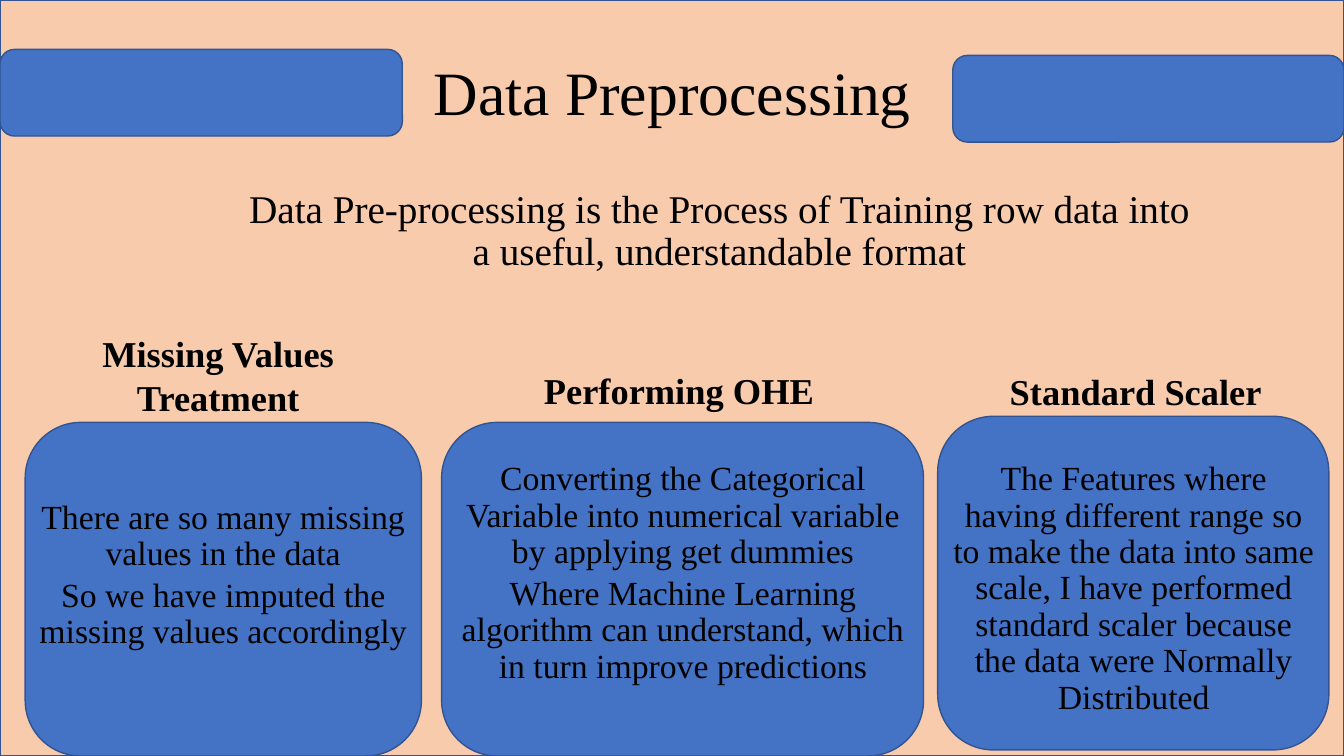
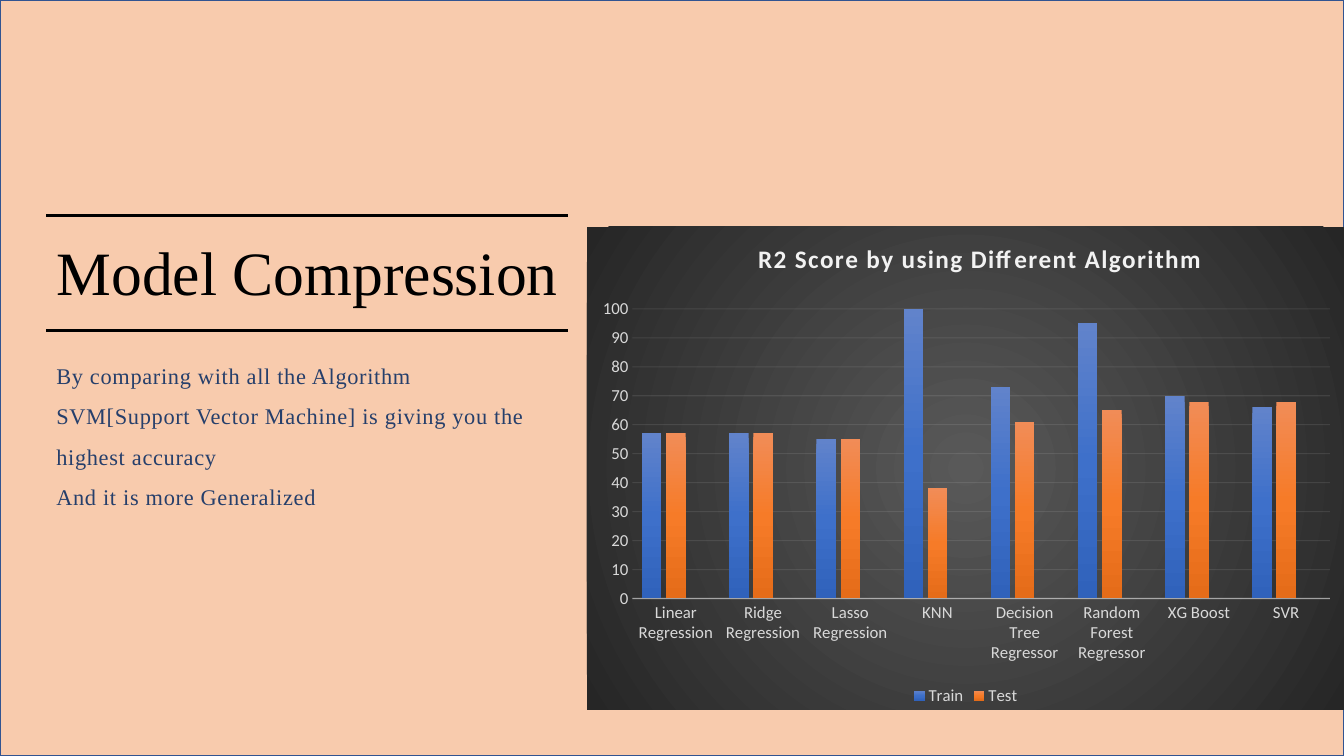
from lxml import etree
from pptx import Presentation
from pptx.chart.data import CategoryChartData
from pptx.dml.color import RGBColor
from pptx.enum.chart import XL_CHART_TYPE, XL_LEGEND_POSITION, XL_TICK_MARK
from pptx.enum.shapes import MSO_CONNECTOR, MSO_SHAPE
from pptx.enum.text import MSO_ANCHOR, MSO_AUTO_SIZE, PP_ALIGN
from pptx.oxml import parse_xml
from pptx.oxml.ns import nsdecls, qn
from pptx.util import Inches, Pt

CENTER, LEFT = PP_ALIGN.CENTER, PP_ALIGN.LEFT
TOP, MIDDLE = MSO_ANCHOR.TOP, MSO_ANCHOR.MIDDLE
RECT, ROUNDED = MSO_SHAPE.RECTANGLE, MSO_SHAPE.ROUNDED_RECTANGLE
STRAIGHT = MSO_CONNECTOR.STRAIGHT
COLUMNS = XL_CHART_TYPE.COLUMN_CLUSTERED
BOTTOM = XL_LEGEND_POSITION.BOTTOM
NO_TICK = XL_TICK_MARK.NONE

WIDTH, HEIGHT = 13.33, 7.5
THEME = {
    "backdrop": "F8CBAD", "block": "4472C4", "outline": "325491",
    "ink": "000000", "remark": "263F6B",
    "chart_title": "F2F2F2", "chart_text": "D9D9D9", "chart_line": "F2F2F2",
    "panel": [(0, "595959"), (100, "262626")],
    "font": "Times New Roman", "chart_font": "Calibri",
    "title": 44, "intro": 28, "heading": 26, "card": 24.1, "remark_size": 16,
    "chart_title_size": 18, "label": 12,
}

INTRO = "Data Pre-processing is the Process of Training row data into a useful, understandable format"
BANDS = [(0, 0.49, 3.99, 0.86), (9.45, 0.55, 3.88, 0.86)]
CARDS = [
    {"block": (0.25, 4.19, 3.93, 3.31),
     "heading": ["Missing Values", "Treatment"], "heading_at": (0.86, 3.28, 2.61, 1.75),
     "text": ["There are so many missing values in the data",
              "So we have imputed the missing values accordingly"],
     "text_at": (0.19, 4.91, 4.05, 1.75)},
    {"block": (4.38, 4.19, 4.78, 3.31),
     "heading": ["Performing OHE"], "heading_at": (4.89, 3.65, 3.69, 1.75),
     "text": ["Converting the Categorical Variable into numerical variable by applying get dummies",
              "Where Machine Learning algorithm can understand, which in turn improve predictions"],
     "text_at": (4.45, 4.53, 4.65, 2.9)},
    {"block": (9.3, 4.13, 3.88, 3.31),
     "heading": ["Standard Scaler"], "heading_at": (9.59, 3.66, 3.35, 1.75),
     "text": ["The Features where having different range so to make the data into same scale, "
              "I have performed standard scaler because the data were Normally Distributed"],
     "text_at": (9.35, 4.53, 3.79, 2.74)},
]

REMARKS = [
    "By comparing with all the Algorithm SVM[Support Vector Machine] is giving you the highest accuracy",
    "And it is more Generalized",
]
RULE_LEFT, RULE_RIGHT, RULE_TOPS = 0.46, 5.63, (2.14, 3.28)
CHART_AT = (5.82, 2.25, 7.52, 4.79)
CHART_TITLE = "R2 Score by using Different Algorithm"
ALGORITHMS = ["Linear Regression", "Ridge Regression", "Lasso Regression", "KNN",
              "Decision Tree Regressor", "Random Forest Regressor", "XG Boost", "SVR"]
SERIES = [
    ("Train", [57, 57, 55, 100, 73, 95, 70, 66], ["6183CB", "3E70CA", "3062BB"]),
    ("Test", [57, 57, 55, 38, 61, 65, 68, 68], ["F18C57", "F67B28", "E56C19"]),
    ("Series 3", [None] * 8, ["AFAFAF", "A5A5A5", "939393"]),
]
HIDDEN_ENTRY = 2


def rgb(name):
    return RGBColor.from_string(THEME.get(name, name))


def assign(obj, **values):
    for name, value in values.items():
        setattr(obj, name, value)


def box(at):
    return [Inches(v) for v in at]


def style(font, size, color, face="font", bold=False):
    assign(font, name=THEME[face], size=Pt(THEME[size]), bold=bold)
    font.color.rgb = rgb(color)


def write(tf, lines, size, color="ink", align=CENTER, anchor=TOP, spacing=0.9,
          before=0, bold=False, tracking=None):
    assign(tf, word_wrap=True, auto_size=MSO_AUTO_SIZE.NONE, vertical_anchor=anchor)
    for i, line in enumerate(lines):
        p = tf.add_paragraph() if i else tf.paragraphs[0]
        assign(p, alignment=align, line_spacing=spacing, space_before=Pt(before))
        r = p.add_run()
        r.text = line
        style(r.font, size, color, bold=bold)
        if tracking:
            r.font._element.set("spc", str(tracking))


def add_text(s, at, lines, size, **options):
    write(s.shapes.add_textbox(*box(at)).text_frame, lines, size, **options)


def add_block(s, kind, at, fill="block", weight=1):
    sp = s.shapes.add_shape(kind, *box(at))
    sp.shadow.inherit = False
    sp.fill.solid()
    sp.fill.fore_color.rgb = rgb(fill)
    sp.line.color.rgb = rgb("outline")
    sp.line.width = Pt(weight)
    return sp


def add_slide(prs, title, at, align, weight):
    s = prs.slides.add_slide(prs.slide_layouts[5])
    sp = s.shapes.title
    assign(sp, **dict(zip(("left", "top", "width", "height"), box(at))))
    write(sp.text_frame, [title], "title", align=align, anchor=MIDDLE)
    backdrop = add_block(s, RECT, (0, 0, WIDTH, HEIGHT), "backdrop", weight)
    sp._element.addprevious(backdrop._element)
    return s


def add_rule(s, top):
    c = s.shapes.add_connector(STRAIGHT, *box((RULE_LEFT, top, RULE_RIGHT, top)))
    c.line.color.rgb = rgb("ink")
    c.line.width = Pt(2.25)
    etree.SubElement(c._element.spPr, qn("a:effectLst"))


def gradient(stops, shade):
    marks = "".join(f'<a:gs pos="{pos * 1000}"><a:srgbClr val="{color}"/></a:gs>'
                    for pos, color in stops)
    return parse_xml(f'<a:gradFill {nsdecls("a")} rotWithShape="1">'
                     f'<a:gsLst>{marks}</a:gsLst>{shade}</a:gradFill>')


def layout(**shares):
    parts = "".join(f'<c:{k} val="{v}"/>' for k, v in shares.items())
    return parse_xml(f'<c:layout {nsdecls("c")}><c:manualLayout>{parts}'
                     '</c:manualLayout></c:layout>')


def faint_line(line, weight, opacity):
    line.color.rgb = rgb("chart_line")
    line.width = Pt(weight)
    color = line._get_or_add_ln().find(".//" + qn("a:srgbClr"))
    etree.SubElement(color, qn("a:alpha")).set("val", str(opacity * 1000))


def place(parent, after, new):
    old = parent.find(qn("c:layout"))
    if old is not None:
        parent.remove(old)
    if after is None:
        parent.insert(0, new)
    else:
        parent.find(qn(after)).addnext(new)


def add_scores(s):
    data = CategoryChartData()
    data.categories = ALGORITHMS
    for name, values, _ in SERIES:
        data.add_series(name, values)
    chart = s.shapes.add_chart(COLUMNS, *box(CHART_AT), data).chart
    style(chart.font, "label", "chart_text", "chart_font")

    panel = parse_xml(f'<c:spPr {nsdecls("c", "a")}/>')
    panel.append(gradient(THEME["panel"], '<a:path path="circle"><a:fillToRect l="50000" '
                          't="50000" r="50000" b="50000"/></a:path>'))
    panel.append(parse_xml(f'<a:ln {nsdecls("a")}><a:noFill/></a:ln>'))
    chart.element.find(qn("c:chart")).addnext(panel)

    chart.has_title = True
    r = chart.chart_title.text_frame.paragraphs[0].add_run()
    r.text = CHART_TITLE
    style(r.font, "chart_title_size", "chart_title", "chart_font", True)
    r.font._element.set("spc", "100")
    place(chart.chart_title._element, "c:tx", layout(xMode="edge", yMode="edge", x=0.22, y=0.02))

    plot = chart.plots[0]
    assign(plot, gap_width=100, overlap=-24, vary_by_categories=False)
    for series, (_, _, colors) in zip(plot.series, SERIES):
        series._element.get_or_add_spPr().append(
            gradient(zip((0, 50, 100), colors), '<a:lin ang="5400000" scaled="0"/>'))
    place(chart.element.find(".//" + qn("c:plotArea")), None,
          layout(layoutTarget="inner", xMode="edge", yMode="edge", x=0.06, y=0.17, w=0.92, h=0.6))

    for axis in (chart.category_axis, chart.value_axis):
        assign(axis, major_tick_mark=NO_TICK, minor_tick_mark=NO_TICK)
        style(axis.tick_labels.font, "label", "chart_text", "chart_font")
    faint_line(chart.category_axis.format.line, 1, 54)
    assign(chart.value_axis, minimum_scale=0, maximum_scale=100, major_unit=10)
    chart.value_axis.format.line.fill.background()
    faint_line(chart.value_axis.major_gridlines.format.line, 0.75, 10)

    chart.has_legend = True
    assign(chart.legend, position=BOTTOM, include_in_layout=False)
    style(chart.legend.font, "label", "chart_text", "chart_font")
    chart.legend._element.find(qn("c:legendPos")).addnext(parse_xml(
        f'<c:legendEntry {nsdecls("c")}><c:idx val="{HIDDEN_ENTRY}"/>'
        '<c:delete val="1"/></c:legendEntry>'))


def preprocessing_slide(prs):
    s = add_slide(prs, "Data Preprocessing", (0.92, 0.22, 11.5, 1.45), CENTER, 1)
    add_text(s, (2.34, 1.83, 9.59, 1.75), [INTRO], "intro", before=10)
    for at in BANDS:
        add_block(s, ROUNDED, at)
    for card in CARDS:
        add_block(s, ROUNDED, card["block"])
        add_text(s, card["heading_at"], card["heading"], "heading", before=4, bold=True)
        add_text(s, card["text_at"], card["text"], "card", before=4)


def comparison_slide(prs):
    s = add_slide(prs, "Model Compression", (RULE_LEFT, 2.01, 11.5, 1.45), LEFT, 1.5)
    for top in RULE_TOPS:
        add_rule(s, top)
    add_scores(s)
    add_text(s, (RULE_LEFT, 3.41, 4.99, 1.7), REMARKS, "remark_size", color="remark",
             align=LEFT, anchor=MIDDLE, spacing=1.5, tracking=50)


def main():
    prs = Presentation()
    assign(prs, slide_width=Inches(WIDTH), slide_height=Inches(HEIGHT))
    preprocessing_slide(prs)
    comparison_slide(prs)
    prs.save("out.pptx")


if __name__ == "__main__":
    main()
